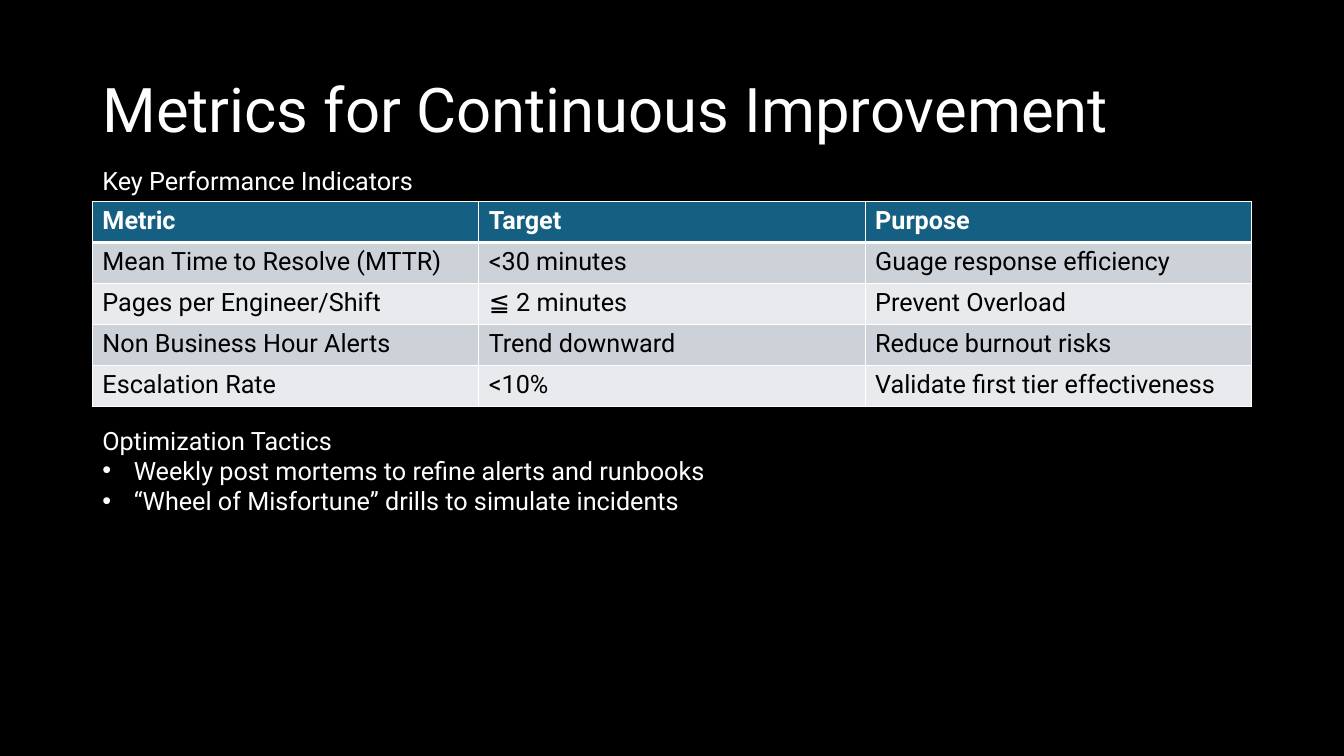
from lxml import etree
from pptx import Presentation
from pptx.dml.color import RGBColor as RGB
from pptx.enum.text import MSO_ANCHOR as Anchor
from pptx.oxml.ns import qn
from pptx.util import Pt

PX = 9525
COLORS = {
    "black": "000000",
    "white": "FFFFFF",
    "header": "156082",
    "band_dark": "CCD2D8",
    "band_light": "E8EAED",
}
METRICS = [
    ("Metric", "Target", "Purpose"),
    ("Mean Time to Resolve (MTTR)", "<30 minutes", "Guage response efficiency"),
    ("Pages per Engineer/Shift", "≦ 2 minutes", "Prevent Overload"),
    ("Non Business Hour Alerts", "Trend downward", "Reduce burnout risks"),
    ("Escalation Rate", "<10%", "Validate first tier effectiveness"),
]
TACTICS = [
    "Weekly post mortems to refine alerts and runbooks",
    "“Wheel of Misfortune” drills to simulate incidents",
]


def px(*lengths):
    return [n * PX for n in lengths]


def rgb(name):
    return RGB.from_string(COLORS[name])


def write(p, text, size=18, color="white", bold=False, font="Roboto", spacing=None, indent=0):
    r = p.add_run()
    r.text = text
    r.font.name = font
    r.font.size = Pt(size)
    r.font.bold = bold
    r.font.color.rgb = rgb(color)
    if spacing:
        p.line_spacing = spacing
    if indent:
        pPr = p._p.get_or_add_pPr()
        pPr.set("marL", str(indent * PX))
        pPr.set("indent", str(-indent * PX))
        etree.SubElement(pPr, qn("a:buFont"), typeface="Arial")
        etree.SubElement(pPr, qn("a:buChar"), char="•")


class Deck:
    def __init__(self, width, height):
        self.prs = Presentation()
        self.prs.slide_width, self.prs.slide_height = px(width, height)
        self.s = self.prs.slides.add_slide(self.prs.slide_layouts[6])
        fill = self.s.background.fill
        fill.solid()
        fill.fore_color.rgb = rgb("black")

    def text(self, x, y, w, h, lines, anchor=Anchor.TOP):
        tf = self.s.shapes.add_textbox(*px(x, y, w, h)).text_frame
        tf.word_wrap = True
        tf.vertical_anchor = anchor
        for i, (line, style) in enumerate(lines):
            p = tf.paragraphs[0] if i == 0 else tf.add_paragraph()
            write(p, line, **style)

    def borders(self, cell, top, bottom):
        tcPr = cell._tc.get_or_add_tcPr()
        for side, width in (("L", 1), ("R", 1), ("T", top), ("B", bottom)):
            ln = etree.SubElement(tcPr, qn(f"a:ln{side}"), w=str(Pt(width)))
            fill = etree.SubElement(ln, qn("a:solidFill"))
            etree.SubElement(fill, qn("a:srgbClr"), val=COLORS["white"])

    def table(self, x, y, w, row_h, rows):
        cols = len(rows[0])
        frame = self.s.shapes.add_table(len(rows), cols, *px(x, y, w, row_h * len(rows)))
        for i, row in enumerate(rows):
            header = i == 0
            band = "header" if header else "band_dark" if i % 2 else "band_light"
            for j, value in enumerate(row):
                cell = frame.table.cell(i, j)
                self.borders(cell, 3 if i == 1 else 1, 3 if header else 1)
                cell.fill.solid()
                cell.fill.fore_color.rgb = rgb(band)
                write(cell.text_frame.paragraphs[0], value,
                      color="white" if header else "black", bold=header)

    def save(self):
        self.prs.save("out.pptx")


def main():
    deck = Deck(1280, 720)
    deck.text(88, 38, 1104, 139,
              [("Metrics for Continuous Improvement", {"size": 44, "spacing": 0.9})],
              Anchor.MIDDLE)
    deck.table(88, 192, 1104, 39, METRICS)
    deck.text(88, 153, 413, 39, [("Key Performance Indicators", {})])
    deck.text(88, 400, 1104, 97,
              [("Optimization Tactics", {})] + [(t, {"indent": 30}) for t in TACTICS])
    deck.save()


if __name__ == "__main__":
    main()
